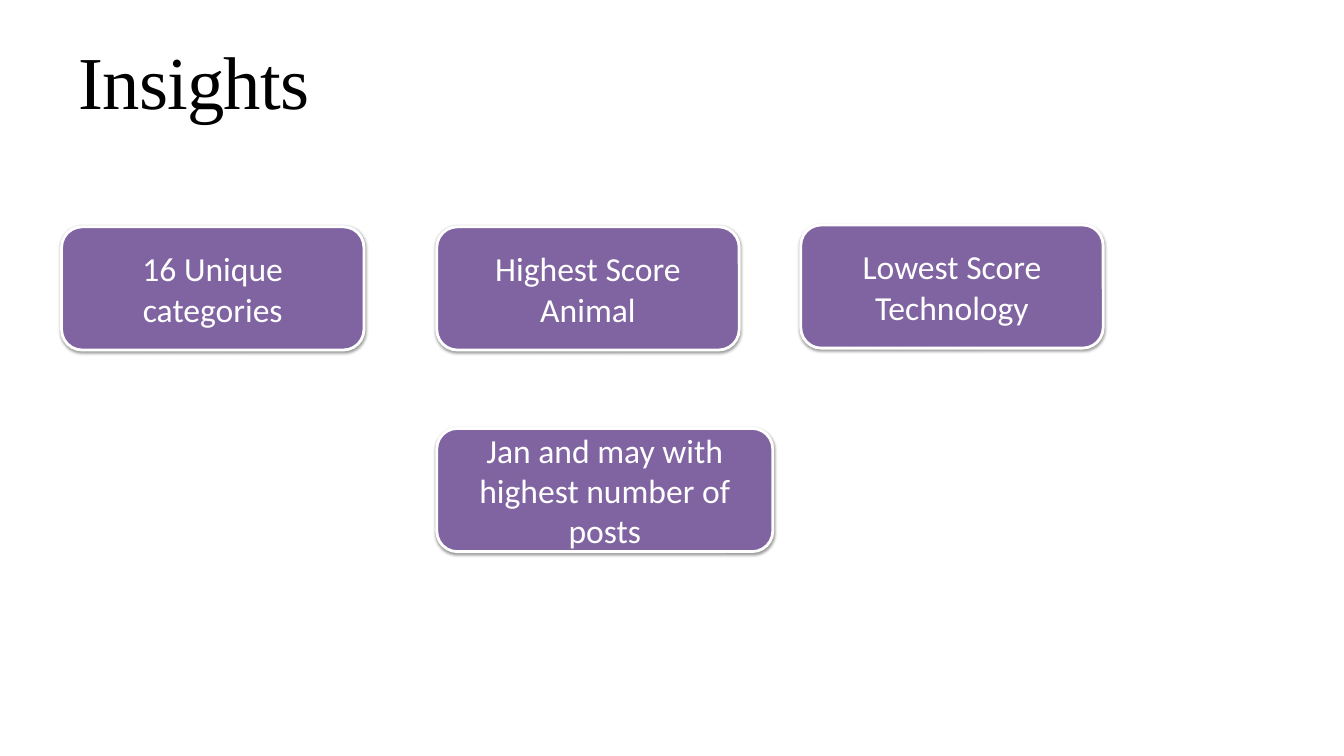
from dataclasses import dataclass

import pptx
import pptx.dml.color
import pptx.enum.shapes
import pptx.enum.text
import pptx.oxml
import pptx.oxml.ns
import pptx.presentation
import pptx.slide
import pptx.util
from pptx.util import Pt

BLACK = pptx.dml.color.RGBColor(0x00, 0x00, 0x00)
WHITE = pptx.dml.color.RGBColor(0xFF, 0xFF, 0xFF)
PURPLE = pptx.dml.color.RGBColor(0x80, 0x64, 0xA2)

TITLE_FONT = {"name": "Times New Roman", "size": Pt(80)}
CARD_FONT = {"name": "Calibri", "size": Pt(36)}

# Soft shadow straight below a card
SHADOW = (
    f'<a:effectLst {pptx.oxml.ns.nsdecls("a")}>'
    f'<a:outerShdw blurRad="{Pt(3.1)}" dist="{Pt(1.6)}" dir="5400000" rotWithShape="0">'
    '<a:srgbClr val="000000"><a:alpha val="38000"/></a:srgbClr>'
    "</a:outerShdw></a:effectLst>"
)


@dataclass
class Card:
    text: str
    left: float
    top: float
    width: float = 324
    height: float = 132


CARDS = [
    Card("16 Unique categories", 66, 243),
    Card("Highest Score\nAnimal", 468, 243),
    Card("Lowest Score Technology", 858, 241),
    Card("Jan and may with highest number of posts", 468, 459, width=360),
]


def set_all(item: object, values: dict) -> None:
    for key, value in values.items():
        setattr(item, key, value)


def add_title(slide: pptx.slide.Slide, text: str) -> None:
    box = slide.shapes.add_textbox(Pt(84), Pt(37), Pt(585), Pt(97))
    frame = box.text_frame
    set_all(frame, {
        "margin_left": 0, "margin_top": 0, "margin_right": 0, "margin_bottom": 0,
        "word_wrap": True,
        "auto_size": pptx.enum.text.MSO_AUTO_SIZE.SHAPE_TO_FIT_TEXT,
    })
    para = frame.paragraphs[0]
    para.line_spacing = Pt(96)
    run = para.add_run()
    run.text = text
    set_all(run.font, TITLE_FONT)
    run.font.color.rgb = BLACK
    run.font._element.set("spc", "-80")


def add_card(slide: pptx.slide.Slide, card: Card) -> None:
    shape = slide.shapes.add_shape(
        pptx.enum.shapes.MSO_SHAPE.ROUNDED_RECTANGLE,
        Pt(card.left), Pt(card.top), Pt(card.width), Pt(card.height),
    )
    shape.fill.solid()
    shape.fill.fore_color.rgb = PURPLE
    shape.line.color.rgb = WHITE
    shape.line.width = Pt(3)
    shape._element.spPr.append(pptx.oxml.parse_xml(SHADOW))

    frame = shape.text_frame
    set_all(frame, {
        "text": card.text,
        "word_wrap": True,
        "vertical_anchor": pptx.enum.text.MSO_ANCHOR.MIDDLE,
    })
    for para in frame.paragraphs:
        para.alignment = pptx.enum.text.PP_ALIGN.CENTER
        for run in para.runs:
            set_all(run.font, CARD_FONT)
            run.font.color.rgb = WHITE


def main() -> None:
    deck = pptx.Presentation()
    set_all(deck, {"slide_width": Pt(1440), "slide_height": Pt(810)})
    slide = deck.slides.add_slide(deck.slide_layouts[6])

    # Heading
    add_title(slide, "Insights")

    # Insight cards
    for card in CARDS:
        add_card(slide, card)

    deck.save("out.pptx")


if __name__ == "__main__":
    main()
